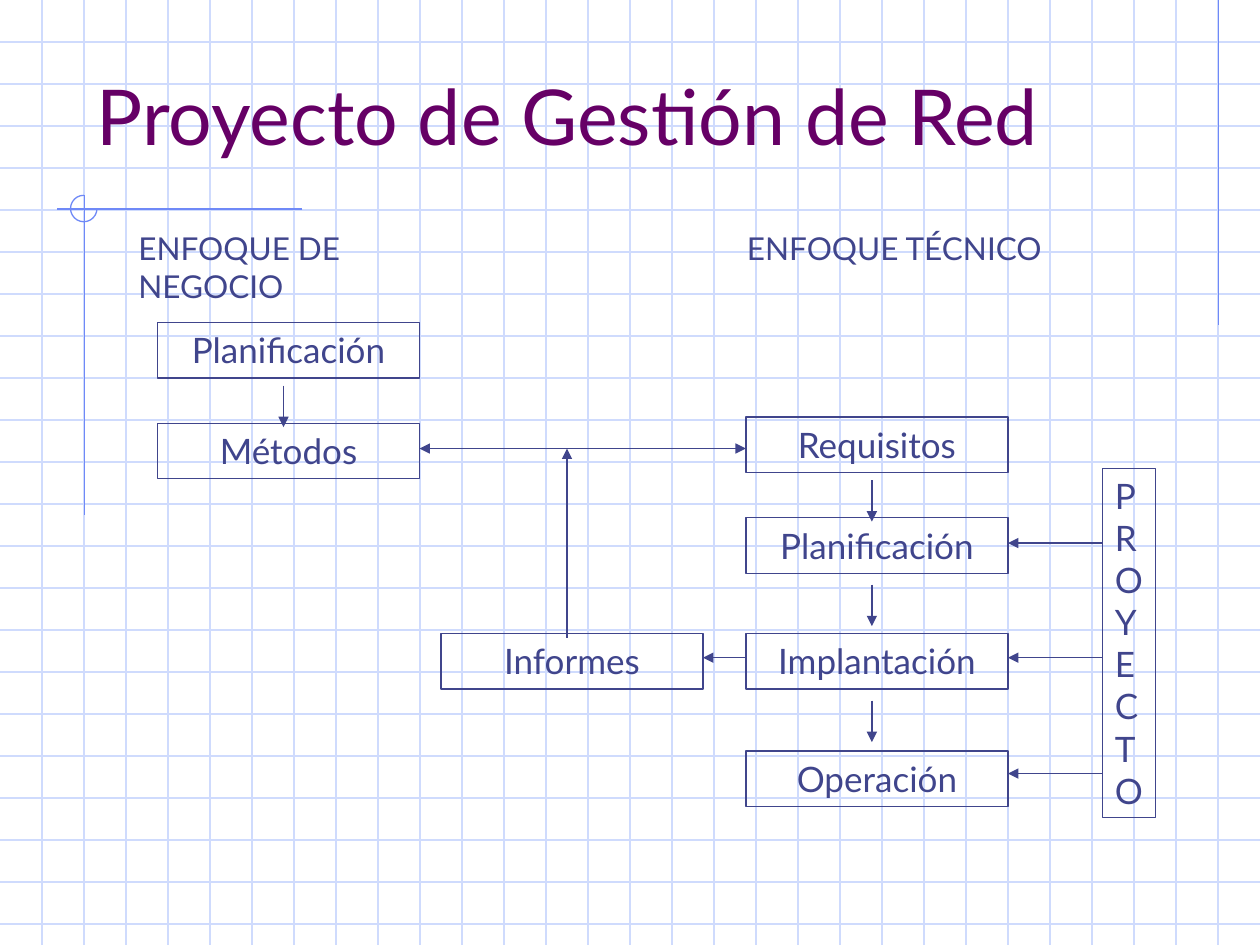
from typing import Any, NamedTuple

from lxml.etree import SubElement as Sub
from pptx import Presentation
from pptx.dml.color import RGBColor as Rgb
from pptx.enum.shapes import MSO_CONNECTOR as Link, MSO_SHAPE as Kind
from pptx.enum.text import MSO_ANCHOR as Anchor, PP_ALIGN as Align
from pptx.oxml.ns import qn
from pptx.util import Inches, Pt

INK, PLUM, GRID, TRIM = "40458C", "660066", "CFDBFD", "6F89F7"
WIDE, HIGH = 10, 7.5
STEP = 1 / 3
BOX_W, BOX_H = 2.08, 0.44
LEFT, MID, RIGHT, SIDE = 1.25, 3.5, 5.92, 8.75


class Label(NamedTuple):
    text: str
    x: float
    y: float
    w: float
    h: float
    size: int = 18
    hue: str = INK
    anchor: Any = Anchor.TOP


class Box(NamedTuple):
    text: str
    x: float
    y: float
    w: float = BOX_W
    h: float = BOX_H
    align: Any = Align.CENTER


class Line(NamedTuple):
    x1: float
    y1: float
    x2: float
    y2: float
    hue: str = INK
    ends: tuple[str, ...] = ("tailEnd",)


LABELS = [
    Label("Proyecto de Gestión de Red", 0.67, 0.5, 8.5, 0.83, 44, PLUM, Anchor.BOTTOM),
    Label("ENFOQUE DE NEGOCIO", 1, 1.77, 2.92, 0.7),
    Label("ENFOQUE TÉCNICO", 5.83, 1.77, 2.92, 0.4),
]
BOXES = [
    Box("Planificación", LEFT, 2.56),
    Box("Métodos", LEFT, 3.36),
    Box("Requisitos", RIGHT, 3.31),
    Box("Planificación", RIGHT, 4.11),
    Box("Implantación", RIGHT, 5.03),
    Box("Operación", RIGHT, 5.96),
    Box("Informes", MID, 5.03),
    Box("PROYECTO", SIDE, 3.72, 0.42, 2.77, Align.LEFT),
]
DOWN = [(LEFT, 3.06), (RIGHT, 3.81), (RIGHT, 4.64), (RIGHT, 5.56)]
ARROWS = [
    *(Line(x + 1, y, x + 1, y + 0.33) for x, y in DOWN),
    *(Line(SIDE, y, RIGHT + BOX_W, y) for y in (4.31, 5.22, 6.14)),
    Line(LEFT + BOX_W, 3.56, RIGHT, 3.56, ends=("headEnd", "tailEnd")),
    Line(RIGHT, 5.22, MID + BOX_W, 5.22),
    Line(MID + 1, 5.06, MID + 1, 3.56),
]
RULES = [
    *(Line(0, n * STEP, WIDE, n * STEP, GRID, ()) for n in range(1, 23)),
    *(Line(n * STEP, 0, n * STEP, HIGH, GRID, ()) for n in range(1, 30)),
    Line(9.67, 0, 9.67, 2.58, TRIM, ()),
    Line(2.4, 1.66, 0.45, 1.66, TRIM, ()),
    Line(0.67, 1.55, 0.67, 4.09, TRIM, ()),
]


def style(thing: Any, values: dict[str, Any]) -> None:
    for name, value in values.items():
        setattr(thing, name, value)


def paint(part: Any, hue: str) -> None:
    part.rgb = Rgb.from_string(hue)


def stroke(line: Any, hue: str) -> None:
    paint(line.color, hue)
    line.width = Pt(0.75)


def write(shape: Any, text: str, size: int, hue: str, align: Any, anchor: Any) -> None:
    frame = shape.text_frame
    style(frame, {
        "word_wrap": True,
        "vertical_anchor": anchor,
        "margin_left": Inches(0.1),
        "margin_right": Inches(0.1),
        "margin_top": Inches(0.05),
        "margin_bottom": Inches(0.05),
    })
    para = frame.paragraphs[0]
    para.alignment = align
    run = para.add_run()
    run.text = text
    style(run.font, {"name": "Lato", "size": Pt(size)})
    paint(run.font.color, hue)


def add_label(shapes: Any, label: Label) -> None:
    area = map(Inches, (label.x, label.y, label.w, label.h))
    write(shapes.add_textbox(*area), label.text, label.size, label.hue,
          Align.LEFT, label.anchor)


def add_shape(shapes: Any, kind: Any, hue: str, *area: float) -> Any:
    shape = shapes.add_shape(kind, *map(Inches, area))
    shape.shadow.inherit = False
    shape.fill.background()
    stroke(shape.line, hue)
    return shape


def add_box(shapes: Any, box: Box) -> None:
    shape = add_shape(shapes, Kind.RECTANGLE, INK, box.x, box.y, box.w, box.h)
    write(shape, box.text, 20, INK, box.align, Anchor.TOP)


def add_line(shapes: Any, line: Line) -> None:
    ends = map(Inches, (line.x1, line.y1, line.x2, line.y2))
    link = shapes.add_connector(Link.STRAIGHT, *ends)
    stroke(link.line, line.hue)
    props = link._element.spPr
    for end in line.ends:
        Sub(props.find(qn("a:ln")), qn(f"a:{end}"), type="triangle")
    Sub(props, qn("a:effectLst"))


def main() -> None:
    deck = Presentation()
    style(deck, {"slide_width": Inches(WIDE), "slide_height": Inches(HIGH)})
    shapes = deck.slides.add_slide(deck.slide_layouts[6]).shapes
    for rule in RULES:
        add_line(shapes, rule)
    arc = add_shape(shapes, Kind.ARC, TRIM, 0.56, 1.55, 0.21, 0.21)
    arc.adjustments[0] = 0
    arc.adjustments[1] = 162
    for label in LABELS:
        add_label(shapes, label)
    for box in BOXES:
        add_box(shapes, box)
    for arrow in ARROWS:
        add_line(shapes, arrow)
    deck.save("out.pptx")


if __name__ == "__main__":
    main()
